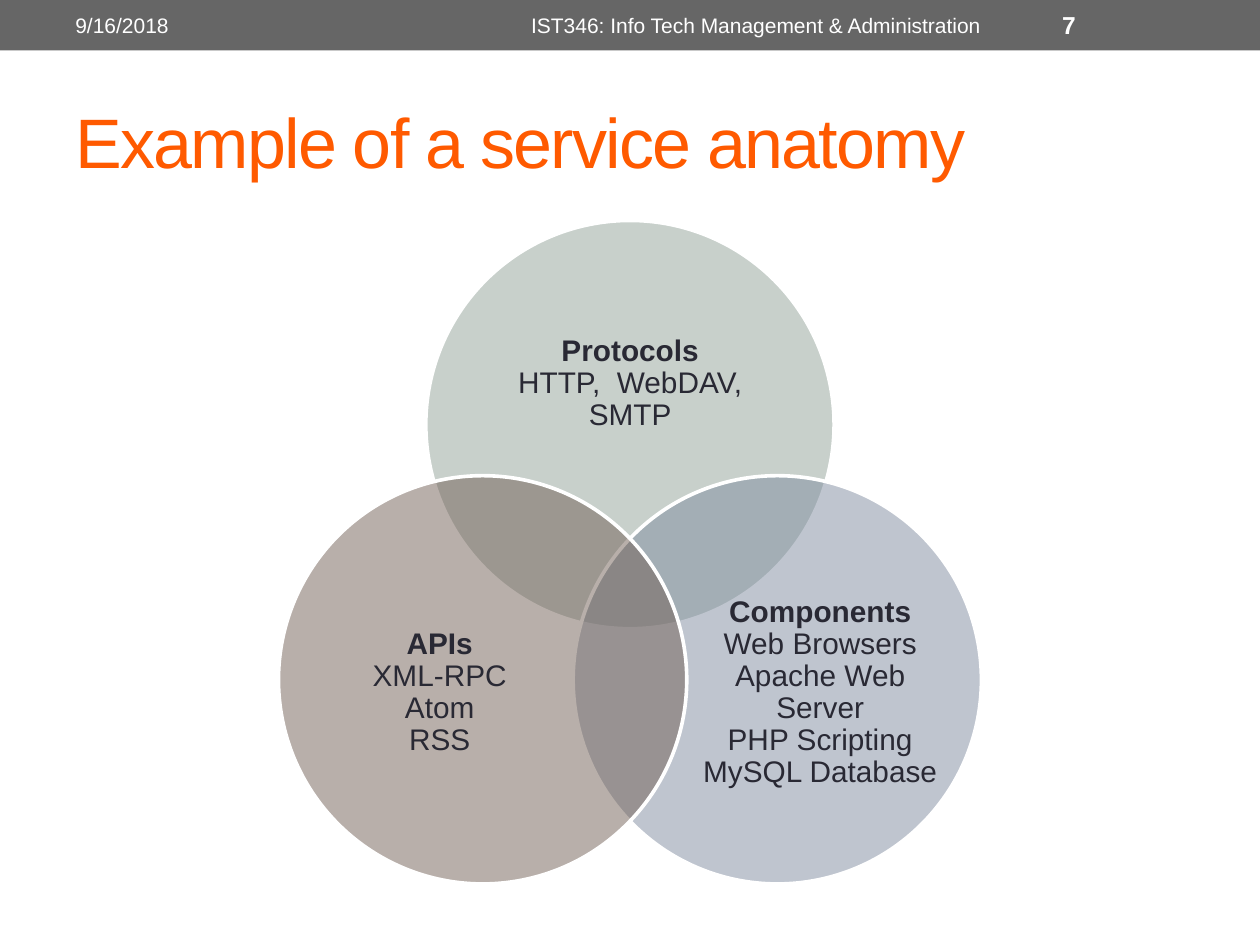
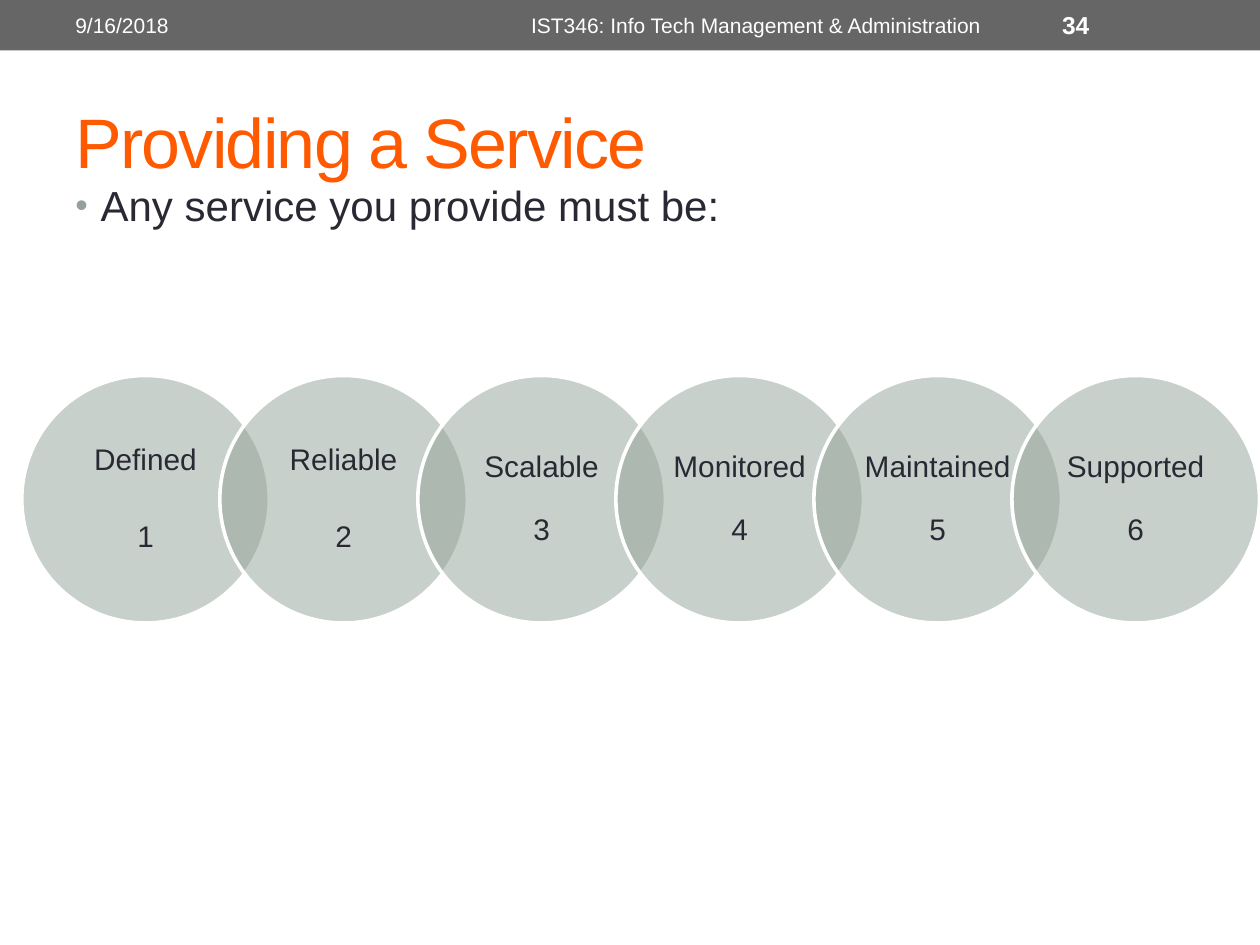
from math import cos, radians, sin, sqrt

from lxml import etree
from pptx import Presentation
from pptx.dml.color import RGBColor
from pptx.enum.shapes import MSO_SHAPE
from pptx.enum.text import MSO_ANCHOR, PP_ALIGN
from pptx.oxml.ns import qn
from pptx.util import Cm, Pt

RECTANGLE, OVAL = MSO_SHAPE.RECTANGLE, MSO_SHAPE.OVAL
TOP, MIDDLE = MSO_ANCHOR.TOP, MSO_ANCHOR.MIDDLE
LEFT, CENTER = PP_ALIGN.LEFT, PP_ALIGN.CENTER

FONT = "Arial"
WHITE = RGBColor(0xFF, 0xFF, 0xFF)
GRAY = RGBColor(0x66, 0x66, 0x66)
ORANGE = RGBColor(0xFF, 0x5A, 0x00)
INK = RGBColor(0x29, 0x29, 0x34)
SAGE = RGBColor(0x93, 0xA2, 0x99)
SLATE = RGBColor(0x80, 0x8D, 0xA0)
BROWN = RGBColor(0x72, 0x60, 0x56)

# Content; all lengths are in centimetres
DATE = "9/16/2018"
COURSE = "IST346: Info Tech Management & Administration"

ANATOMY_TITLE = "Example of a service anatomy"
# heading, items, colour, angle around the centre, label box
ANATOMY = [
    ("Protocols", ["HTTP,  WebDAV,", "SMTP"],
     SAGE, -90, (9.68, 5.89, 6.05, 3.71)),
    ("Components", ["Web Browsers", "Apache Web Server", "PHP Scripting", "MySQL Database"],
     SLATE, 30, (14.07, 11.71, 4.93, 4.52)),
    ("APIs", ["XML-RPC", "Atom", "RSS"],
     BROWN, 150, (6.4, 11.71, 4.93, 4.52)),
]

PROVIDING_TITLE = "Providing a Service"
PROVIDING_LEAD = "Any service you provide must be:"
# quality, points between the word and its number
QUALITIES = [("Defined", 26), ("Reliable", 26), ("Scalable", 18),
             ("Monitored", 18), ("Maintained", 18), ("Supported", 18)]

# Layout
SLIDE_WIDTH, SLIDE_HEIGHT = 25.4, 19.05
MARGIN, BAND_HEIGHT = 1.27, 1.02
VENN_X, VENN_Y, VENN_ORBIT, VENN_DIAMETER = 12.7, 11.99, 3.43, 8.23
CHAIN_LEFT, CHAIN_TOP, CHAIN_DIAMETER = 0.44, 7.57, 4.99
CHAIN_PITCH = 0.8 * CHAIN_DIAMETER


def add_text(slide, box, lines, size, color, bold=False, align=LEFT,
             anchor=MIDDLE, insets=(0.25, 0.13)):
    """Add a text box with one paragraph per line and return its frame."""
    frame = slide.shapes.add_textbox(*map(Cm, box)).text_frame
    frame.word_wrap = True
    frame.vertical_anchor = anchor
    frame.margin_left = frame.margin_right = Cm(insets[0])
    frame.margin_top = frame.margin_bottom = Cm(insets[1])
    frame.text = "\n".join(lines)
    for paragraph in frame.paragraphs:
        paragraph.alignment = align
        for run in paragraph.runs:
            run.font.name, run.font.size = FONT, Pt(size)
            run.font.color.rgb, run.font.bold = color, bold
    return frame


def add_circle(slide, left, top, diameter, color):
    """Add a half-transparent circle with a white outline."""
    circle = slide.shapes.add_shape(OVAL, *map(Cm, (left, top, diameter, diameter)))
    circle.shadow.inherit = False
    circle.fill.solid()
    circle.fill.fore_color.rgb = color
    rgb = circle.fill._xPr.find(".//" + qn("a:srgbClr"))
    etree.SubElement(rgb, qn("a:alpha"), val="50000")
    circle.line.color.rgb = WHITE
    circle.line.width = Pt(2.08)


def add_circle_label(slide, box, lines):
    frame = add_text(slide, box, lines, 17, INK, align=CENTER, insets=(0, 0))
    for paragraph in frame.paragraphs:
        paragraph.line_spacing = 0.9
    return frame


def add_bullet(paragraph):
    properties = paragraph._p.get_or_add_pPr()
    properties.set("marL", str(Cm(0.51)))
    properties.set("indent", str(-Cm(0.51)))
    color = etree.SubElement(properties, qn("a:buClr"))
    etree.SubElement(color, qn("a:srgbClr"), val=str(SAGE))
    etree.SubElement(properties, qn("a:buSzPct"), val="85000")
    etree.SubElement(properties, qn("a:buFont"), typeface=FONT)
    etree.SubElement(properties, qn("a:buChar"), char="•")


def add_slide(deck, title, number):
    """Add a slide with the header band and the title."""
    slide = deck.slides.add_slide(deck.slide_layouts[6])
    band = slide.shapes.add_shape(RECTANGLE, 0, 0, Cm(SLIDE_WIDTH), Cm(BAND_HEIGHT))
    band.shadow.inherit = False
    band.fill.solid()
    band.fill.fore_color.rgb = GRAY
    band.line.fill.background()
    heading = add_text(slide, (MARGIN, 1.47, 22.86, 2.74), [title], 40, ORANGE)
    heading.paragraphs[0].runs[0].font._element.set("spc", "-100")
    add_text(slide, (MARGIN, 0.05, 8.05, 0.91), [DATE], 12, WHITE)
    add_text(slide, (9.53, 0.05, 11.43, 0.91), [COURSE], 12, WHITE, align=CENTER)
    add_text(slide, (21.16, 0.05, 2.97, 0.91), [str(number)], 14, WHITE, bold=True)
    return slide


def build_anatomy(deck):
    slide = add_slide(deck, ANATOMY_TITLE, 7)
    for heading, items, color, angle, box in ANATOMY:
        left = VENN_X + VENN_ORBIT * cos(radians(angle)) - VENN_DIAMETER / 2
        top = VENN_Y + VENN_ORBIT * sin(radians(angle)) - VENN_DIAMETER / 2
        add_circle(slide, left, top, VENN_DIAMETER, color)
        label = add_circle_label(slide, box, [heading, *items])
        label.paragraphs[0].runs[0].font.bold = True


def build_providing(deck):
    slide = add_slide(deck, PROVIDING_TITLE, 34)
    lead = add_text(slide, (MARGIN, 3.38, 22.86, 1.7), [PROVIDING_LEAD], 24, INK,
                    anchor=TOP, insets=(0.25, 0.24))
    add_bullet(lead.paragraphs[0])
    label_side = CHAIN_DIAMETER / sqrt(2)
    label_offset = (CHAIN_DIAMETER - label_side) / 2
    for index, (quality, gap) in enumerate(QUALITIES):
        left = CHAIN_LEFT + index * CHAIN_PITCH
        add_circle(slide, left, CHAIN_TOP, CHAIN_DIAMETER, SAGE)
        box = (left + label_offset, CHAIN_TOP + label_offset, label_side, label_side)
        label = add_circle_label(slide, box, [quality, str(index + 1)])
        label.paragraphs[0].space_after = Pt(gap)


def main():
    deck = Presentation()
    deck.slide_width, deck.slide_height = Cm(SLIDE_WIDTH), Cm(SLIDE_HEIGHT)
    build_anatomy(deck)
    build_providing(deck)
    deck.save("out.pptx")


if __name__ == "__main__":
    main()
